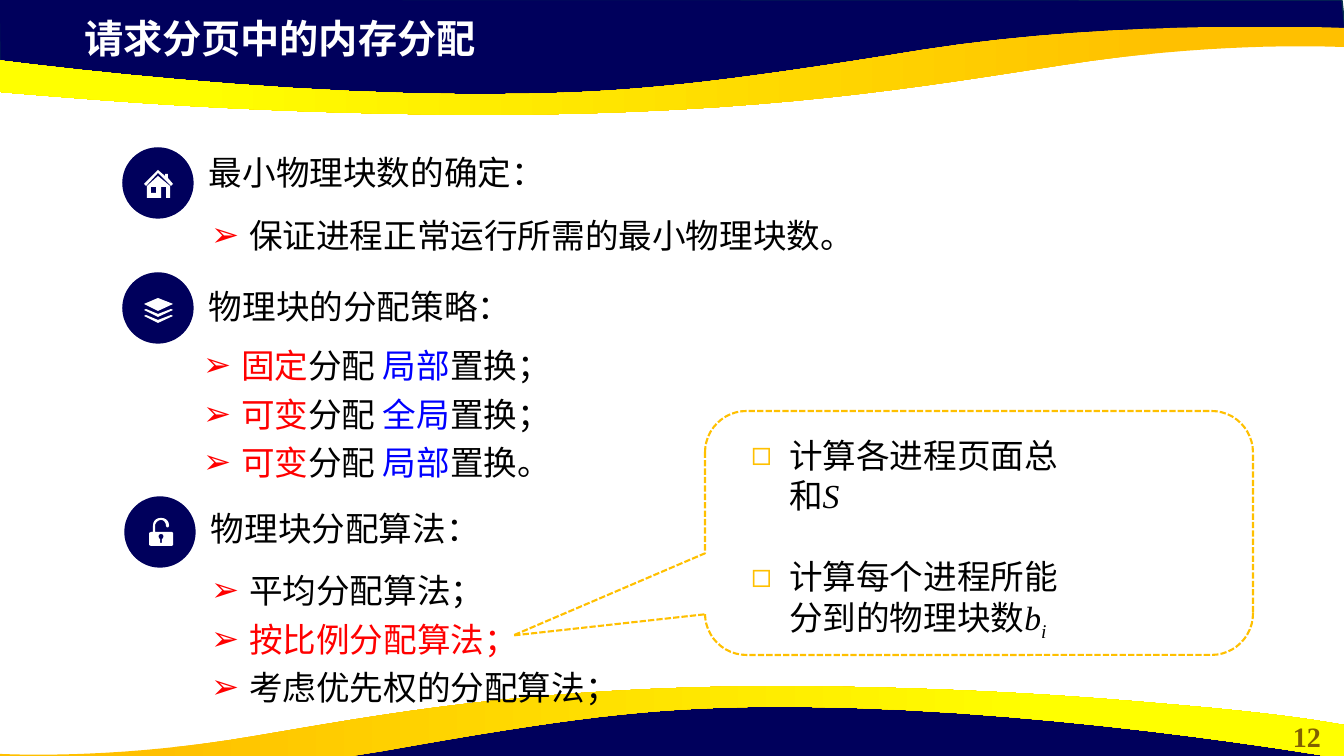
from dataclasses import dataclass

from lxml.etree import SubElement
from pptx import Presentation
from pptx.dml.color import RGBColor
from pptx.enum.dml import MSO_LINE
from pptx.enum.shapes import MSO_SHAPE
from pptx.enum.text import MSO_ANCHOR, MSO_AUTO_SIZE, PP_ALIGN
from pptx.oxml.ns import qn
from pptx.util import Emu, Pt

EMU_PER_PX = 914400 / 100.8


@dataclass(frozen=True)
class Theme:
    font: str = "Times New Roman"
    navy: str = "00005C"
    navy_edge: str = "05304F"
    gold: str = "FFC000"
    yellow: str = "FFFF00"
    olive: str = "806000"
    red: str = "FF0000"
    blue: str = "0000FF"
    black: str = "000000"
    white: str = "FFFFFF"
    title_size: int = 28
    body_size: int = 24
    number_size: int = 20


THEME = Theme()

# Outlines: two numbers make a line to a point, six a cubic curve.
NAVY_WAVE = [(-1, -1), (0, 71), (295, 103), (563, 101), (801, 89), (1024, 50),
             (1248, 33), (1346, 38), (1342, 0)]
GOLD_WAVE = [(487, 115), (447, 115, 404, 114, 359, 113), (208, 109, 111, 101, 36, 95),
             (-89, 85, -131, 76, -134, 76), (-134, 42), (-134, 42, 220, 99, 521, 94),
             (631, 92, 714, 84, 922, 50), (1124, 18, 1344, 28, 1344, 28),
             (1344, 47), (1341, 47), (1315, 46, 1205, 43, 1063, 65),
             (925, 86, 768, 114, 487, 115)]
HOUSE = [
    [(144, 184), (158, 170), (165, 176), (165, 174), (168, 174), (168, 178),
     (173, 184), (171, 186), (158, 173), (146, 186)],
    [(158, 176), (170, 186), (170, 198), (166, 198), (166, 187), (161, 187),
     (161, 198), (147, 198), (147, 186)],
    [(151, 187), (156, 187), (156, 193), (151, 193)],
]
LAYER_EDGE = [(144, 310), (146, 309), (158, 314), (171, 309), (173, 310), (158, 317)]
LAYERS = [
    [(144, 304), (158, 298), (173, 304), (158, 311)],
    LAYER_EDGE,
    [(x, y + 6) for x, y in LAYER_EDGE],
]
PADLOCK = [
    [(153, 532), (153, 526), (153, 521, 156, 518, 161, 518),
     (166, 518, 169, 521, 169, 526), (168, 528, 167, 528, 166, 526),
     (166, 523, 164, 520, 161, 520), (158, 520, 155, 523, 155, 526), (155, 532)],
    [(151, 532), (172, 532), (173, 533), (173, 545), (172, 546), (151, 546),
     (149, 545), (149, 533)],
    [(161, 534), (164, 534, 164, 538, 162, 539), (162, 543), (160, 543),
     (160, 539), (158, 538, 158, 534, 161, 534)],
]


def px(length):
    return Emu(round(length * EMU_PER_PX))


def rgb(value):
    return RGBColor.from_string(value)


def flatten(outline, steps=16):
    """Turn lines and cubic curves into a list of points."""
    points = [outline[0]]
    for piece in outline[1:]:
        if len(piece) == 2:
            points.append(piece)
            continue
        (x0, y0), (x1, y1, x2, y2, x3, y3) = points[-1], piece
        for step in range(1, steps + 1):
            t = step / steps
            u = 1 - t
            a, b, c, d = u ** 3, 3 * u * u * t, 3 * u * t * t, t ** 3
            points.append((a * x0 + b * x1 + c * x2 + d * x3,
                           a * y0 + b * y1 + c * y2 + d * y3))
    return points


def draw_outline(slide, contours, fill=None, edge=None):
    contours = [[(px(x), px(y)) for x, y in contour] for contour in contours]
    builder = slide.shapes.build_freeform(*contours[0][0], scale=1.0)
    for index, contour in enumerate(contours):
        if index:
            builder.move_to(*contour[0])
        builder.add_line_segments(contour[1:], close=True)
    outline = builder.convert_to_shape()
    outline.shadow.inherit = False
    if fill:
        outline.fill.solid()
        outline.fill.fore_color.rgb = rgb(fill)
    if edge:
        outline.line.color.rgb = rgb(edge)
        outline.line.width = Pt(1)
    else:
        outline.line.fill.background()
    return outline


def draw_waves(slide):
    """Draw the top waves and their half-turned twins at the bottom."""
    gold_points = flatten(GOLD_WAVE)
    stretch = 1345 / 1478
    navy_turned = [(1343 - x, 799 - y) for x, y in NAVY_WAVE]
    gold_turned = [(1344 - (x + 134) * stretch, 801 - y) for x, y in gold_points]
    for navy, gold, angle in ((NAVY_WAVE, gold_points, 180), (navy_turned, gold_turned, 0)):
        draw_outline(slide, [navy], THEME.navy, THEME.navy_edge)
        band = draw_outline(slide, [gold])
        band.fill.gradient()
        band.fill.gradient_angle = angle
        stops = ((0.11, THEME.gold), (0.78, THEME.yellow))
        for stop, (position, color) in zip(band.fill.gradient_stops, stops):
            stop.position = position
            stop.color.rgb = rgb(color)


def draw_badge(slide, left, top, icon):
    badge = slide.shapes.add_shape(MSO_SHAPE.OVAL, px(left), px(top), px(70), px(70))
    badge.shadow.inherit = False
    badge.fill.solid()
    badge.fill.fore_color.rgb = rgb(THEME.navy)
    badge.line.color.rgb = rgb(THEME.navy)
    badge.line.width = Pt(1)
    draw_outline(slide, [flatten(contour) for contour in icon], THEME.white)


def draw_callout(slide, box):
    callout = slide.shapes.add_shape(MSO_SHAPE.ROUNDED_RECTANGULAR_CALLOUT, *map(px, box))
    callout.shadow.inherit = False
    callout.fill.background()
    callout.line.color.rgb = rgb(THEME.gold)
    callout.line.width = Pt(1.5)
    callout.line.dash_style = MSO_LINE.SQUARE_DOT
    for index, value in enumerate((-0.85, 0.42, 0.17)):
        callout.adjustments[index] = value


def add_run(paragraph, text, color=THEME.black, size=THEME.body_size,
            bold=False, italic=False, baseline=0):
    run = paragraph.add_run()
    run.text = text
    font = run.font
    font.name, font.size, font.bold, font.italic = THEME.font, Pt(size), bold, italic
    font.color.rgb = rgb(color)
    if baseline:
        run._r.get_or_add_rPr().set("baseline", str(baseline * 1000))


def add_label(slide, box, text, anchor=MSO_ANCHOR.MIDDLE, align=PP_ALIGN.LEFT, **style):
    frame = slide.shapes.add_textbox(*map(px, box)).text_frame
    frame.word_wrap = True
    frame.vertical_anchor = anchor
    frame.paragraphs[0].alignment = align
    add_run(frame.paragraphs[0], text, **style)


def place(placeholder, box):
    """Move a placeholder to its box and in front of the waves."""
    placeholder.element.getparent().append(placeholder.element)
    placeholder.left, placeholder.top, placeholder.width, placeholder.height = map(px, box)
    frame = placeholder.text_frame
    frame.word_wrap = True
    frame.auto_size = MSO_AUTO_SIZE.NONE
    frame.vertical_anchor = MSO_ANCHOR.TOP
    return frame


def fill_list(placeholder, box, items, bullet="➢", color=THEME.red, spacing=1.2, gap=0):
    """Each item is a list of (text, style) runs."""
    frame = place(placeholder, box)
    for index, item in enumerate(items):
        paragraph = frame.add_paragraph() if index else frame.paragraphs[0]
        properties = paragraph._p.get_or_add_pPr()
        properties.set("marL", str(px(38)))
        properties.set("indent", str(-px(38)))
        SubElement(SubElement(properties, qn("a:buClr")), qn("a:srgbClr")).set("val", color)
        SubElement(properties, qn("a:buChar")).set("char", bullet)
        paragraph.line_spacing = spacing
        paragraph.space_before = Pt(gap if index else 0)
        for text, style in item:
            add_run(paragraph, text, **style)
    return frame


def main():
    deck = Presentation()
    deck.slide_width, deck.slide_height = px(1344), px(756)
    slide = deck.slides.add_slide(deck.slide_layouts.get_by_name("Comparison"))
    title, minimum, strategies, algorithms, steps = slide.placeholders
    red, blue, italic = {"color": THEME.red}, {"color": THEME.blue}, {"italic": True}

    draw_waves(slide)
    add_label(slide, (1270, 715, 74, 44), "12", MSO_ANCHOR.TOP, PP_ALIGN.CENTER,
              color=THEME.olive, size=THEME.number_size, bold=True)
    heading = place(title, (74, 9, 774, 57)).paragraphs[0]
    heading.alignment = PP_ALIGN.LEFT
    add_run(heading, "请求分页中的内存分配", THEME.white, THEME.title_size, bold=True)

    for left, top, icon, label_top, label in (
            (123, 148, HOUSE, 150, "最小物理块数的确定："),
            (123, 273, LAYERS, 284, "物理块的分配策略："),
            (125, 497, PADLOCK, 506, "物理块分配算法：")):
        draw_badge(slide, left, top, icon)
        add_label(slide, (left + 76, label_top, 407, 44), label)

    fill_list(minimum, (201, 202, 1070, 128), [[("保证进程正常运行所需的最小物理块数。", {})]])
    fill_list(strategies, (193, 332, 364, 164), [
        [(size, red), ("分配 ", {}), (scope, blue), ("置换" + end, {})]
        for size, scope, end in (("固定", "局部", "；"), ("可变", "全局", "；"),
                                 ("可变", "局部", "。"))])
    fill_list(algorithms, (201, 557, 602, 57), [
        [("平均分配算法；", {})], [("按比例分配算法；", red)], [("考虑优先权的分配算法；", {})]])
    draw_callout(slide, (705, 411, 548, 244))
    fill_list(steps, (741, 430, 326, 214), [
        [("计算各进程页面总和", {}), ("S", italic)],
        [("计算每个进程所能分到的物理块数", {}), ("b", italic),
         ("i", {"italic": True, "baseline": -25})],
    ], bullet="◻", color=THEME.gold, spacing=1.0, gap=29).margin_right = 0
    deck.save("out.pptx")


if __name__ == "__main__":
    main()
